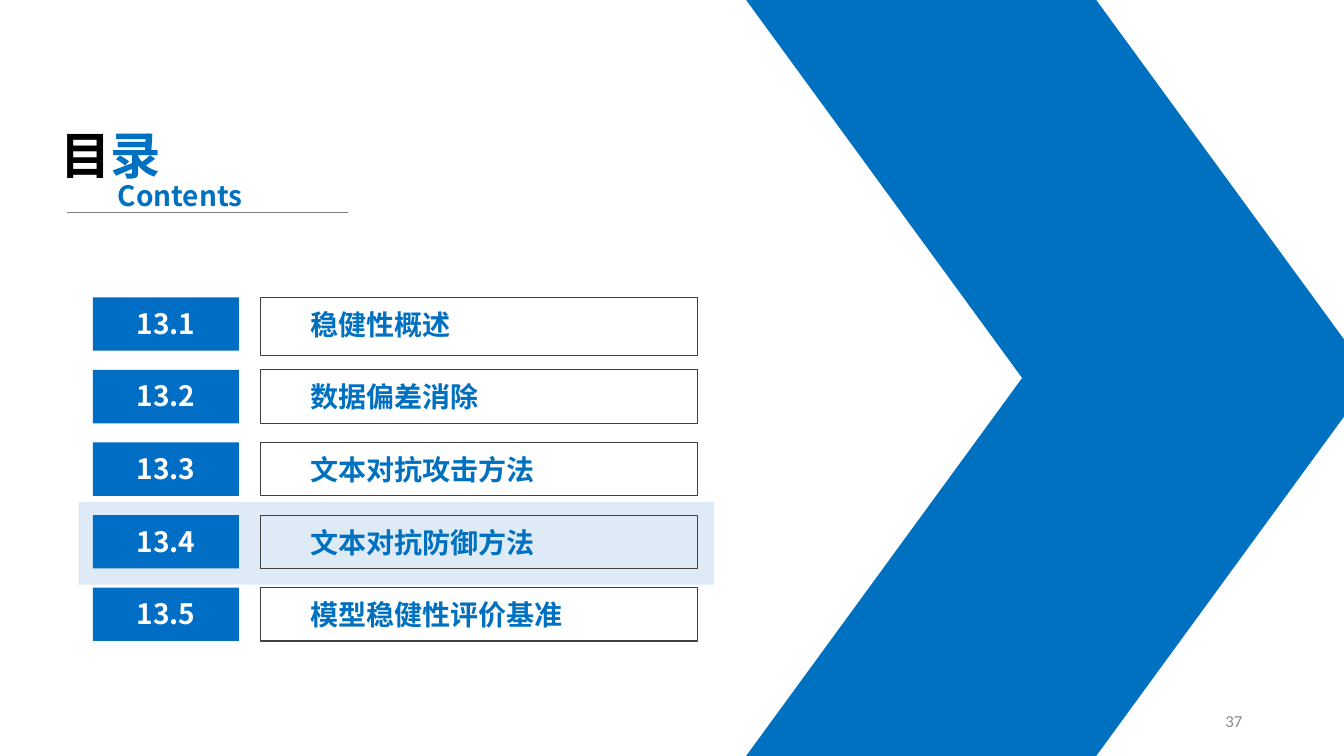
from lxml.etree import SubElement
from pptx import Presentation
from pptx.dml.color import RGBColor
from pptx.enum.shapes import MSO_CONNECTOR, MSO_SHAPE as SHAPE
from pptx.enum.text import MSO_ANCHOR as ANCHOR, PP_ALIGN as ALIGN
from pptx.oxml.ns import qn
from pptx.util import Inches, Pt

# Content
HEADING = ("目", "录")
SUBHEADING = "Contents"
SECTIONS = [
    ("13.1", "稳健性概述"),
    ("13.2", "数据偏差消除"),
    ("13.3", "文本对抗攻击方法"),
    ("13.4", "文本对抗防御方法"),
    ("13.5", "模型稳健性评价基准"),
]
CURRENT = "13.4"
PAGE_NUMBER = "37"

# Style
BLUE = RGBColor(0x00, 0x70, 0xC0)
TAG_BLUE = RGBColor(0x00, 0x6E, 0xC5)
PALE_BLUE = RGBColor(0xDE, 0xEB, 0xF7)
BLACK = RGBColor(0x00, 0x00, 0x00)
WHITE = RGBColor(0xFF, 0xFF, 0xFF)
FRAME_GREY = RGBColor(0x40, 0x40, 0x40)
RULE_GREY = RGBColor(0x7F, 0x7F, 0x7F)
PAGE_GREY = RGBColor(0x89, 0x89, 0x89)
CJK_FONT = "Noto Sans CJK SC"

# Grid, in inches
WIDTH, HEIGHT = 13.33, 7.5
TAG_LEFT, TAG_WIDTH = 0.92, 1.45
FRAME_LEFT, FRAME_WIDTH = 2.58, 4.34
FIRST_ROW, ROW_STEP, ROW_HEIGHT = 2.95, 0.72, 0.53
FIRST_FRAME_HEIGHT = 0.58
LINE_HEIGHT = 0.44
MARGIN = 0.14

prs = Presentation()
prs.slide_width, prs.slide_height = Inches(WIDTH), Inches(HEIGHT)
slide = prs.slides.add_slide(prs.slide_layouts[6])


def add_block(kind, left, top, width, height, fill=None, line=None):
    block = slide.shapes.add_shape(
        kind, Inches(left), Inches(top), Inches(width), Inches(height))
    block.shadow.inherit = False
    if fill is None:
        block.fill.background()
    else:
        block.fill.solid()
        block.fill.fore_color.rgb = fill
    if line is None:
        block.line.fill.background()
    else:
        block.line.color.rgb = line
        block.line.width = Pt(0.75)
    return block


def add_text(pieces, left, top, width, height=LINE_HEIGHT, size=20, bold=True,
             font=CJK_FONT, align=ALIGN.LEFT, anchor=ANCHOR.TOP):
    """Add one line made of (text, colour) pieces."""
    box = slide.shapes.add_textbox(
        Inches(left), Inches(top), Inches(width), Inches(height))
    frame = box.text_frame
    frame.word_wrap = True
    frame.vertical_anchor = anchor
    paragraph = frame.paragraphs[0]
    paragraph.alignment = align
    for text, colour in pieces:
        run = paragraph.add_run()
        run.text = text
        run.font.size, run.font.bold, run.font.name = Pt(size), bold, font
        run.font.color.rgb = colour
        SubElement(run.font._element, qn("a:ea")).set("typeface", font)


# Highlight behind the current section
current_row = [number for number, _ in SECTIONS].index(CURRENT)
add_block(SHAPE.RECTANGLE, TAG_LEFT - MARGIN,
          FIRST_ROW + current_row * ROW_STEP - 0.13, 6.3, 0.82, fill=PALE_BLUE)

# Large arrow made of two mirrored halves
for half in (1, 0):
    wing = add_block(SHAPE.PARALLELOGRAM, 7.4, half * HEIGHT / 2,
                     6.21, HEIGHT / 2, fill=BLUE)
    wing.adjustments[0] = 0.73
    if half == 0:
        wing._element.spPr.find(qn("a:xfrm")).set("flipV", "1")

# Heading
add_text(zip(HEADING, (BLACK, BLUE)), 0.5, 1.18, 1.57, 0.71, size=36)
rule = slide.shapes.add_connector(
    MSO_CONNECTOR.STRAIGHT, Inches(0.66), Inches(2.11), Inches(3.45), Inches(2.11))
rule.line.color.rgb = RULE_GREY
rule.line.width = Pt(0.5)
SubElement(rule._element.spPr, qn("a:effectLst"))
add_text([(SUBHEADING, BLUE)], 1.07, 1.72, 1.57)

# Section rows
for row, (number, title) in enumerate(SECTIONS):
    top = FIRST_ROW + row * ROW_STEP
    frame_height = FIRST_FRAME_HEIGHT if row == 0 else ROW_HEIGHT
    add_block(SHAPE.RECTANGLE, FRAME_LEFT, top, FRAME_WIDTH, frame_height,
              line=FRAME_GREY)
    add_text([(title, BLUE)], FRAME_LEFT + 0.4, top + 0.05, 3.69)
    add_block(SHAPE.RECTANGLE, TAG_LEFT, top, TAG_WIDTH, ROW_HEIGHT, fill=TAG_BLUE)
    add_text([(number, WHITE)], TAG_LEFT + 0.2, top + 0.04, TAG_WIDTH - 0.4,
             align=ALIGN.CENTER)

# Page number
add_text([(PAGE_NUMBER, PAGE_GREY)], 9.42, 6.95, 3, 0.4, size=12, bold=False,
         font="Calibri", align=ALIGN.RIGHT, anchor=ANCHOR.MIDDLE)

prs.save("out.pptx")
